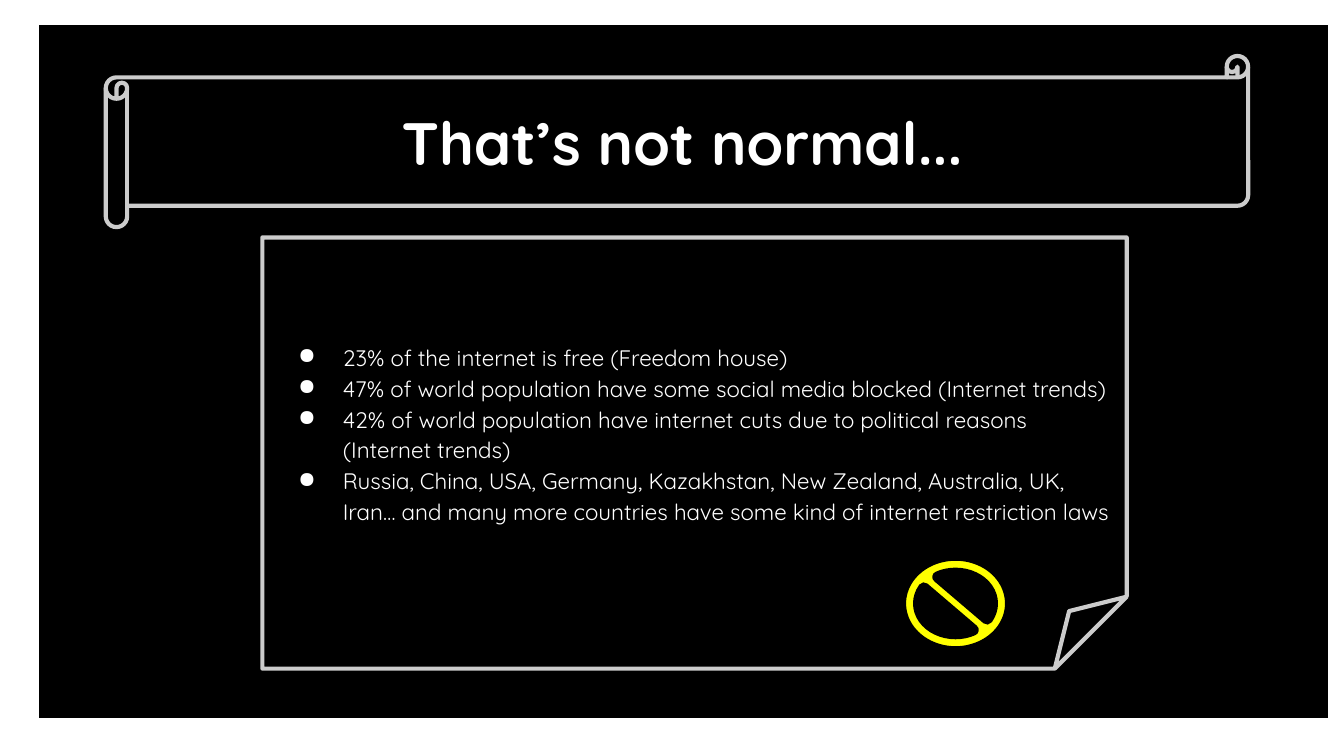
"""Build the slide on internet restrictions around the world."""
import pptx
import pptx.util
import pptx.dml.color
import pptx.enum.shapes
import pptx.enum.text
import pptx.oxml.ns
from lxml import etree

Pt = pptx.util.Pt
RGBColor = pptx.dml.color.RGBColor
MSO_SHAPE = pptx.enum.shapes.MSO_SHAPE
PP_ALIGN = pptx.enum.text.PP_ALIGN
qn = pptx.oxml.ns.qn

BLACK = RGBColor(0x00, 0x00, 0x00)
WHITE = RGBColor(0xFF, 0xFF, 0xFF)
GREY = RGBColor(0xCC, 0xCC, 0xCC)
YELLOW = RGBColor(0xFF, 0xFF, 0x00)
FONT = "Quicksand"
INSET = 7.2
LINE_HEIGHT = 16.6

TITLE = "That’s not normal..."
FACTS = [
    "23% of the internet is free (Freedom house)",
    "47% of world population have some social media blocked (Internet trends)",
    "42% of world population have internet cuts due to political reasons (Internet trends)",
    "Russia, China, USA, Germany, Kazakhstan, New Zealand, Australia, UK, Iran… "
    "and many more countries have some kind of internet restriction laws",
]


def add_shape(s, kind, box, fill, line, width):
    sp = s.shapes.add_shape(kind, *(Pt(v) for v in box))
    sp.shadow.inherit = False
    sp.fill.solid()
    sp.fill.fore_color.rgb = fill
    sp.line.color.rgb = line
    sp.line.width = Pt(width)
    return sp


def set_frame(sp, top=INSET):
    tf = sp.text_frame
    tf.word_wrap = True
    tf.vertical_anchor = pptx.enum.text.MSO_ANCHOR.MIDDLE
    tf.margin_left = tf.margin_right = tf.margin_bottom = Pt(INSET)
    tf.margin_top = Pt(top)
    return tf


def add_run(p, text, size, bold=False):
    r = p.add_run()
    r.text = text
    r.font.name = FONT
    r.font.size = Pt(size)
    r.font.bold = bold
    r.font.color.rgb = WHITE


def set_bullet(p):
    pPr = p._p.get_or_add_pPr()
    pPr.set("marL", str(Pt(36)))
    pPr.set("indent", str(-Pt(24)))
    color = etree.SubElement(pPr, qn("a:buClr"))
    etree.SubElement(color, qn("a:srgbClr")).set("val", str(WHITE))
    etree.SubElement(pPr, qn("a:buChar")).set("char", "●")


prs = pptx.Presentation()
prs.slide_width, prs.slide_height = Pt(720), Pt(405)
s = prs.slides.add_slide(prs.slide_layouts[6])

add_shape(s, MSO_SHAPE.RECTANGLE, (20.5, 13.2, 691.2, 372), BLACK, WHITE, 0.75)

scroll = add_shape(s, MSO_SHAPE.HORIZONTAL_SCROLL, (56.7, 30, 612, 91.7), BLACK, GREY, 2.25)
p = set_frame(scroll).paragraphs[0]
p.alignment = PP_ALIGN.CENTER
add_run(p, TITLE, 32, True)

note = add_shape(s, MSO_SHAPE.FOLDED_CORNER, (140.6, 127.2, 463, 231), BLACK, GREY, 2.25)
tf = set_frame(note, INSET + LINE_HEIGHT)
for i, fact in enumerate(FACTS):
    p = tf.add_paragraph() if i else tf.paragraphs[0]
    p.alignment = PP_ALIGN.LEFT
    p.line_spacing = 1.15
    set_bullet(p)
    add_run(p, fact, 12)

add_shape(s, MSO_SHAPE.NO_SYMBOL, (482.4, 297.4, 59, 51.8), YELLOW, BLACK, 6)

prs.save("out.pptx")
